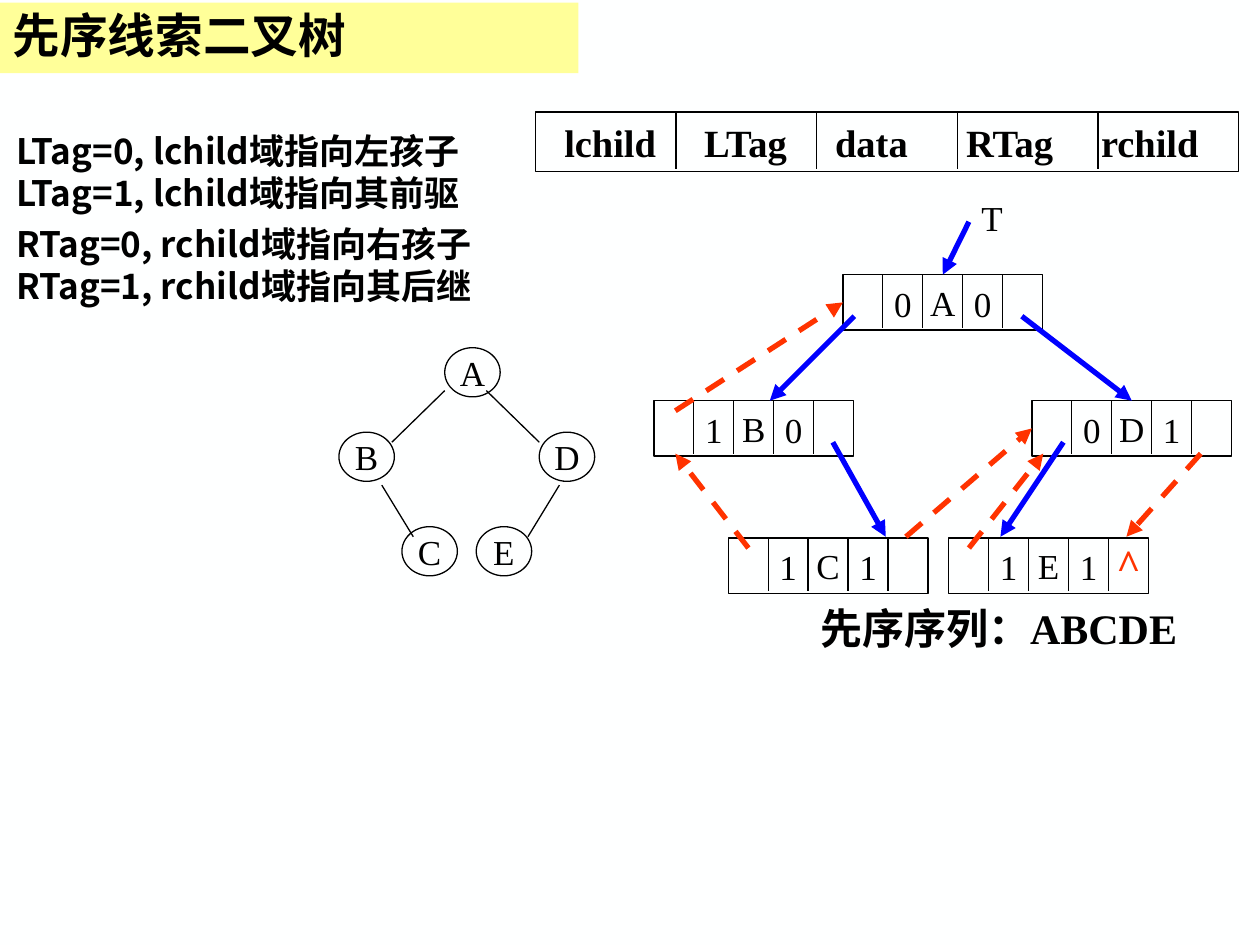
import lxml.etree
import pptx
import pptx.dml.color
import pptx.enum.dml
import pptx.enum.shapes
import pptx.enum.text
import pptx.oxml.ns
import pptx.util

Inches = pptx.util.Inches
ALIGN = pptx.enum.text.PP_ALIGN
ANCHOR = pptx.enum.text.MSO_ANCHOR
SHAPES = pptx.enum.shapes.MSO_SHAPE
TOP, LEFT = 0, 1


def color(hex_code):
    """Turn a hex string into an RGB colour."""
    return pptx.dml.color.RGBColor.from_string(hex_code)


def add_xml(parent, tag, **attributes):
    """Append a namespaced element and return it."""
    return lxml.etree.SubElement(parent, pptx.oxml.ns.qn(tag), attributes)


class TreeSlide:
    """Holds the style and the current slide, and draws its elements."""

    ink = "000000"
    child_blue = "0000FF"
    thread_red = "FF3300"
    serif = "Times New Roman"
    cjk = "Noto Sans CJK SC"
    cell = 0.317
    node_height = 0.44

    def __init__(self, slide):
        self.slide = slide
        slide.background.fill.solid()
        slide.background.fill.fore_color.rgb = color("FEFFFF")

    def set_text(self, shape, text, size=20, font=serif, bold=False, ink=ink,
                 align=ALIGN.LEFT, anchor=ANCHOR.MIDDLE, wrap=True):
        """Fill a shape with text and format its runs."""
        frame = shape.text_frame
        frame.text = text
        frame.word_wrap = wrap
        frame.auto_size = pptx.enum.text.MSO_AUTO_SIZE.NONE
        frame.vertical_anchor = anchor
        for paragraph in frame.paragraphs:
            paragraph.alignment = align
            for run in paragraph.runs:
                run.font.size = pptx.util.Pt(size)
                run.font.name = font
                run.font.bold = bold
                run.font.color.rgb = color(ink)
                add_xml(run.font._element, "a:ea", typeface=self.cjk)
        return frame

    def title(self, text, left, top, width, height):
        """Place and format the title placeholder."""
        heading = self.slide.shapes.title
        heading.left, heading.top = Inches(left), Inches(top)
        heading.width, heading.height = Inches(width), Inches(height)
        heading.fill.solid()
        heading.fill.fore_color.rgb = color("FFFF99")
        frame = self.set_text(heading, text, 27.2, self.cjk, bold=True)
        frame.paragraphs[0].line_spacing = 0.9

    def outline(self, kind, left, top, width, height):
        """Draw an unfilled shape with a thin outline."""
        shape = self.slide.shapes.add_shape(
            kind, Inches(left), Inches(top), Inches(width), Inches(height))
        shape.shadow.inherit = False
        shape.fill.background()
        shape.line.color.rgb = color(self.ink)
        shape.line.width = pptx.util.Pt(0.75)
        return shape

    def label(self, text, left, top, width, height, **style):
        """Add a text box."""
        box = self.slide.shapes.add_textbox(
            Inches(left), Inches(top), Inches(width), Inches(height))
        return self.set_text(box, text, **style)

    def line(self, start, end, ink=ink, width=0.75):
        """Draw a straight line between two points."""
        connector = self.slide.shapes.add_connector(
            pptx.enum.shapes.MSO_CONNECTOR.STRAIGHT,
            *(Inches(value) for value in (*start, *end)))
        connector.line.color.rgb = color(ink)
        connector.line.width = pptx.util.Pt(width)
        add_xml(connector._element.spPr, "a:effectLst")
        return connector

    def arrow(self, start, end, ink, target=None, dashed=False):
        """Draw a thick arrow, joined to a target side when one is given."""
        connector = self.line(start, end, ink, 3)
        if dashed:
            connector.line.dash_style = pptx.enum.dml.MSO_LINE.DASH
        add_xml(connector.line._get_or_add_ln(), "a:tailEnd", type="triangle")
        if target:
            connector.end_connect(*target)

    def child(self, start, end, target=None):
        """Draw a pointer to a child."""
        self.arrow(start, end, self.child_blue, target)

    def thread(self, start, end, target=None):
        """Draw a thread to a predecessor or successor."""
        self.arrow(start, end, self.thread_red, target, dashed=True)

    def record(self, left, top, cell, height):
        """Draw a box divided into five fields."""
        box = self.outline(SHAPES.RECTANGLE, left, top, 5 * cell, height)
        for index in range(1, 5):
            x = left + index * cell
            self.line((x, top), (x, top + height - 0.02))
        return box

    def field(self, left, top, index, text, **style):
        """Centre a text in one field of a node."""
        self.label(text, left + index * self.cell, top + 0.01, self.cell,
                   self.node_height, align=ALIGN.CENTER, wrap=False, **style)

    def node(self, name, left, top, left_tag, right_tag):
        """Draw a threaded node with its name and two tags."""
        box = self.record(left, top, self.cell, self.node_height)
        self.set_text(box, name, align=ALIGN.CENTER)
        self.field(left, top, 1, left_tag)
        self.field(left, top, 3, right_tag)
        return box

    def circle(self, name, left, top):
        """Draw a node of the plain tree."""
        shape = self.outline(SHAPES.OVAL, left, top, 0.44, 0.39)
        self.set_text(shape, name, align=ALIGN.CENTER, wrap=False)

    def header(self, names, stops, left, top, cell, height):
        """Draw the node layout with its field names on tab stops."""
        box = self.record(left, top, cell, height)
        frame = self.set_text(box, "".join("\t" + name for name in names),
                              22, bold=True)
        properties = frame.paragraphs[0]._p.get_or_add_pPr()
        tabs = add_xml(properties, "a:tabLst")
        for stop in stops:
            add_xml(tabs, "a:tab", pos=str(Inches(stop)), algn="l")


def main():
    """Build the slide and save it."""
    deck = pptx.Presentation()
    deck.slide_width, deck.slide_height = Inches(10), Inches(7.5)
    page = TreeSlide(deck.slides.add_slide(deck.slide_layouts[5]))

    page.title("先序线索二叉树", 0, 0.02, 4.59, 0.56)
    rules = page.label(
        "LTag=0, lchild域指向左孩子\vLTag=1, lchild域指向其前驱\n"
        "RTag=0, rchild域指向右孩子\vRTag=1, rchild域指向其后继",
        0.03, 0.98, 3.94, 1.51, font=page.cjk, bold=True, anchor=ANCHOR.TOP)
    for rule in rules.paragraphs:
        rule.space_before = pptx.util.Pt(5)
    page.header(("lchild", "LTag", "data", "RTag", "rchild"),
                (0.13, 1.24, 2.28, 3.32, 4.39), 4.25, 0.89, 1.116, 0.47)

    for name, left, top in (("A", 3.53, 2.76), ("B", 2.69, 3.43),
                            ("C", 3.19, 4.18), ("D", 4.28, 3.43),
                            ("E", 3.78, 4.18)):
        page.circle(name, left, top)
    for start, end in (((3.53, 3.1), (3.11, 3.51)),
                       ((3.86, 3.1), (4.28, 3.51)),
                       ((3.03, 3.85), (3.28, 4.26)),
                       ((4.44, 3.85), (4.19, 4.26))):
        page.line(start, end)

    root = page.node("A", 6.69, 2.18, "0", "0")
    page.node("B", 5.19, 3.18, "1", "0")
    right = page.node("D", 8.19, 3.18, "0", "1")
    page.node("C", 5.78, 4.27, "1", "1")
    page.node("E", 7.53, 4.27, "1", "1")
    page.field(7.53, 4.24, 4, "^", size=24, bold=True, ink=page.thread_red)

    page.child((7.69, 1.76), (7.48, 2.18), (root, TOP))
    page.child((6.78, 2.51), (6.11, 3.18))
    page.child((8.11, 2.51), (8.98, 3.18), (right, TOP))
    page.child((6.61, 3.51), (7.03, 4.26))
    page.child((8.44, 3.51), (7.94, 4.26))
    page.thread((5.36, 3.26), (6.69, 2.4), (root, LEFT))
    page.thread((5.94, 4.35), (5.36, 3.6))
    page.thread((7.19, 4.26), (8.19, 3.4), (right, LEFT))
    page.thread((7.69, 4.35), (8.28, 3.6))
    page.thread((9.53, 3.6), (8.94, 4.26))

    page.label("T", 7.69, 1.51, 0.37, 0.44, anchor=ANCHOR.TOP, wrap=False)
    page.label("先序序列：ABCDE", 6.41, 4.73, 3.11, 0.5, size=24, bold=True,
               anchor=ANCHOR.TOP, wrap=False)
    deck.save("out.pptx")


if __name__ == "__main__":
    main()
